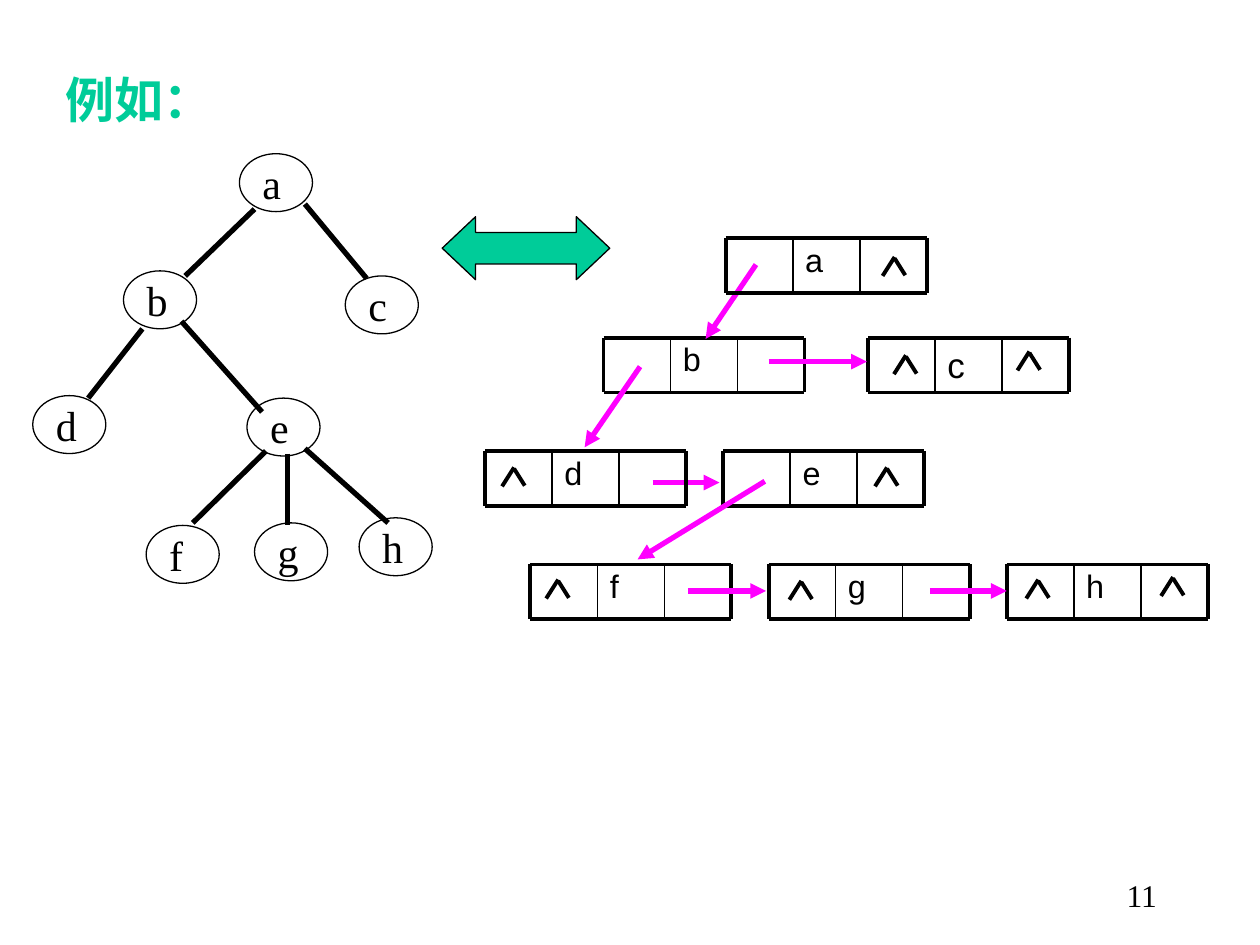
from dataclasses import dataclass

from lxml import etree
from pptx import Presentation, util as u
from pptx.dml import color
from pptx.enum import shapes, text
from pptx.oxml import ns

COLUMNS, ROWS = 100, 75


@dataclass(frozen=True)
class Theme:
    ink: str = "000000"
    accent: str = "00CC99"
    link: str = "FF00FF"
    title_font: str = "Noto Sans CJK SC"
    tree_font: str = "Times New Roman"
    cell_font: str = "Arial"
    title_size: float = 28
    node_size: float = 24
    cell_size: float = 18.5
    number_size: float = 18
    outline: float = 0.75
    divider: float = 1
    frame: float = 2.25
    edge: float = 3


class Canvas:
    """Draws on one slide, with lengths in grid columns and rows."""

    def __init__(self, presentation, theme):
        self.theme = theme
        self.column = presentation.slide_width / COLUMNS
        self.row = presentation.slide_height / ROWS
        self.slide = presentation.slides.add_slide(presentation.slide_layouts[5])
        self.container = self.slide.shapes

    def start_group(self):
        self.container = self.slide.shapes.add_group_shape().shapes

    def end_group(self):
        self.container = self.slide.shapes

    def scale(self, *lengths):
        units = (self.column, self.row)
        return [u.Emu(round(n * units[i % 2])) for i, n in enumerate(lengths)]

    def set_words(self, shape, words, font, size, ink=None, bold=False,
                  align=text.PP_ALIGN.LEFT, anchor=text.MSO_ANCHOR.TOP, wrap=True):
        frame = shape.text_frame
        frame.text = words
        frame.word_wrap = wrap
        frame.auto_size = text.MSO_AUTO_SIZE.NONE
        frame.vertical_anchor = anchor
        paragraph = frame.paragraphs[0]
        paragraph.alignment = align
        run = paragraph.runs[0]
        run.font.name, run.font.size, run.font.bold = font, u.Pt(size), bold
        run.font.color.rgb = color.RGBColor.from_string(ink or self.theme.ink)
        return paragraph

    def title(self, words, *box):
        shape = self.slide.shapes.title
        shape.left, shape.top, shape.width, shape.height = self.scale(*box)
        theme = self.theme
        paragraph = self.set_words(shape, words, theme.title_font, theme.title_size,
                                   theme.accent, bold=True)
        properties = paragraph.runs[0]._r.get_or_add_rPr()
        east_asian = etree.SubElement(properties, ns.qn("a:ea"))
        east_asian.set("typeface", theme.title_font)
        properties.find(ns.qn("a:latin")).addnext(east_asian)

    def label(self, words, *box, **style):
        shape = self.container.add_textbox(*self.scale(*box))
        return self.set_words(shape, words, **style)

    def preset(self, kind, *box, fill=None):
        shape = self.container.add_shape(kind, *self.scale(*box))
        shape.shadow.inherit = False
        if fill:
            shape.fill.solid()
            shape.fill.fore_color.rgb = color.RGBColor.from_string(fill)
        else:
            shape.fill.background()
        shape.line.color.rgb = color.RGBColor.from_string(self.theme.ink)
        shape.line.width = u.Pt(self.theme.outline)
        return shape

    def node(self, letter, x, y):
        shape = self.preset(shapes.MSO_SHAPE.OVAL, x, y, 5.8, 4.6)
        self.set_words(shape, letter, self.theme.tree_font, self.theme.node_size,
                       anchor=text.MSO_ANCHOR.MIDDLE, wrap=False)

    def line(self, ends, width, ink=None, arrow=False):
        connector = self.container.add_connector(
            shapes.MSO_CONNECTOR.STRAIGHT, *self.scale(*ends))
        connector.line.color.rgb = color.RGBColor.from_string(ink or self.theme.ink)
        connector.line.width = u.Pt(width)
        properties = connector._element.spPr
        if arrow:
            outline = properties.find(ns.qn("a:ln"))
            etree.SubElement(outline, ns.qn("a:tailEnd")).set("type", "triangle")
        etree.SubElement(properties, ns.qn("a:effectLst"))

    def null_mark(self, x, y):
        self.line((x, y, x - 0.95, y + 1.5), self.theme.frame)
        self.line((x, y + 0.1, x + 0.85, y + 1.45), self.theme.frame)

    def record(self, letter, x, y, link, marks, size=None, spacing=0.9):
        """A three-cell list record, the link that reaches it and its null marks."""
        theme, width, height = self.theme, 15.95, 4.35
        cell = width / 3
        paragraph = self.label(letter, x + cell, y, cell, height,
                               font=theme.cell_font, size=size or theme.cell_size)
        paragraph.line_spacing = spacing
        for edge in (y, y + height):
            self.line((x, edge, x + width, edge), theme.frame)
        for i, weight in enumerate((theme.frame, theme.divider, theme.divider, theme.frame)):
            self.line((x + i * cell, y, x + i * cell, y + height), weight)
        if link:
            self.line(link, theme.edge, theme.link, arrow=True)
        for mark in marks:
            self.null_mark(*mark)


NODES = {
    "a": (19, 12.2), "b": (9.8, 21.5), "c": (27.4, 21.9), "d": (2.6, 31.4),
    "e": (19.6, 31.6), "f": (11.6, 41.7), "g": (20.2, 41.5), "h": (28.5, 41.1),
}
EDGES = [
    (20.2, 16.6, 14.7, 21.9), (24.2, 16.2, 29.1, 22.1),
    (11.3, 26.1, 7, 31.6), (14.4, 25.5, 20.8, 32.7),
    (21.1, 35.8, 15.3, 41.5), (22.8, 36, 22.8, 41.7), (24.2, 35.6, 30.8, 41.5),
]
# Letter, left, top, incoming link, tips of the null marks
RECORDS = [
    ("b", 47.9, 26.8, (60, 21, 56, 26.9), []),
    ("a", 57.6, 18.9, None, [(71, 20.4)]),
    ("c", 68.9, 26.8, (61, 28.7, 68.8, 28.7), [(71.9, 28.2), (81.7, 27.9)], 20, 1),
    ("e", 57.4, 35.8, (51.8, 38.3, 57.1, 38.3), [(70.4, 37.1)]),
    ("d", 38.5, 35.8, (50.8, 29.1, 46.4, 35.5), [(40.8, 37.1)]),
    ("f", 42.1, 44.8, (60.7, 38.2, 50.6, 44.4), [(44.3, 46)]),
    ("g", 61, 44.8, (54.6, 46.9, 60.8, 46.9), [(63.6, 46.1)]),
    ("h", 79.9, 44.8, (73.8, 46.9, 79.9, 46.9), [(82.4, 46), (93.1, 45.8)]),
]


def main():
    presentation = Presentation()
    presentation.slide_width, presentation.slide_height = u.Inches(10), u.Inches(7.5)
    theme = Theme()
    canvas = Canvas(presentation, theme)
    canvas.title("例如：", 4.2, 5, 14.2, 5.7)

    # Tree
    canvas.start_group()
    for letter, place in NODES.items():
        canvas.node(letter, *place)
    for edge in EDGES:
        canvas.line(edge, theme.edge)

    # Linked records
    for record in RECORDS:
        canvas.start_group()
        canvas.record(*record)
    canvas.end_group()

    # Equivalence arrow
    arrow = canvas.preset(shapes.MSO_SHAPE.LEFT_RIGHT_ARROW, 35.1, 17.2, 13.3, 5,
                          fill=theme.accent)
    arrow.adjustments[0], arrow.adjustments[1] = 0.5, 0.53

    # Page number
    canvas.label("11", 72, 69, 20.8, 5, font=theme.tree_font,
                 size=theme.number_size, align=text.PP_ALIGN.RIGHT)
    presentation.save("out.pptx")


if __name__ == "__main__":
    main()
